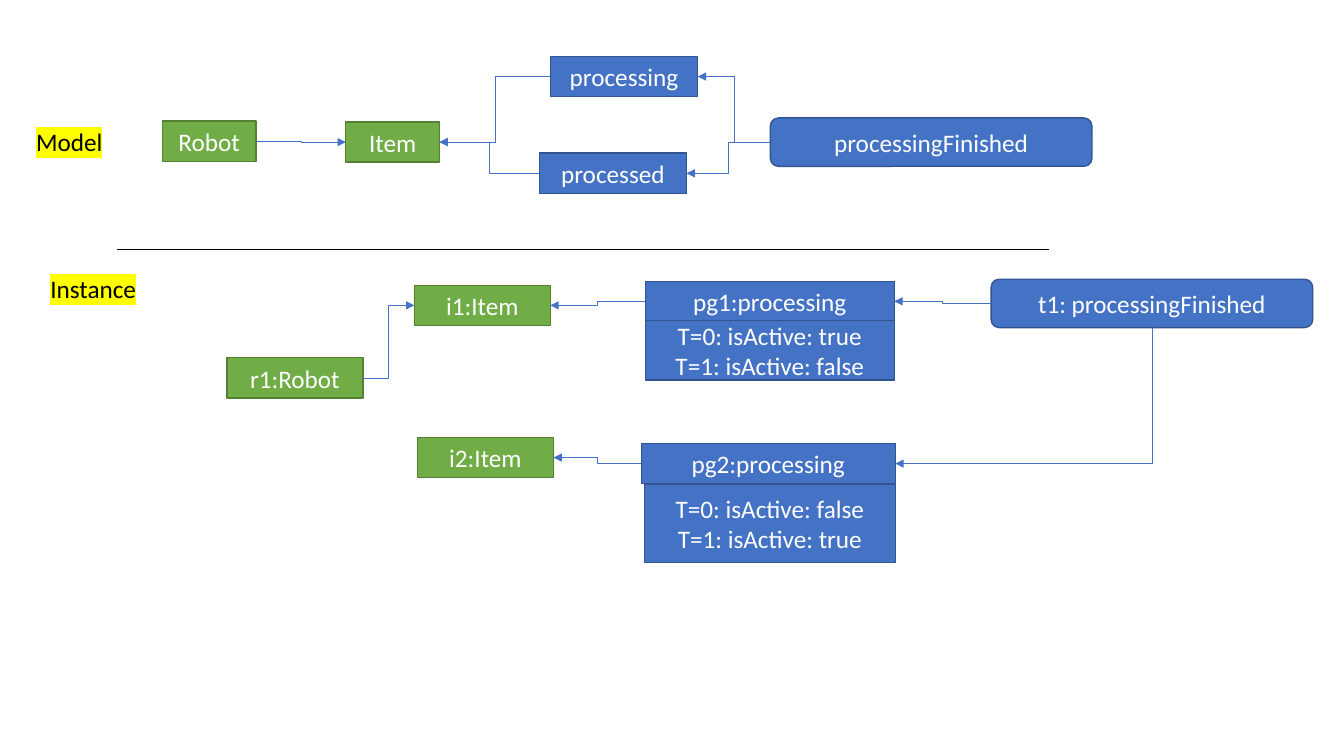
from pptx import Presentation
from pptx.dml.color import RGBColor
from pptx.enum.shapes import MSO_CONNECTOR as MC, MSO_SHAPE as MS
from pptx.enum.text import MSO_ANCHOR, MSO_AUTO_SIZE, PP_ALIGN
from pptx.oxml.ns import qn
from pptx.util import Inches, Pt
from lxml.etree import SubElement

BLUE = RGBColor(0x44, 0x72, 0xC4)
BLUE_EDGE = RGBColor(0x32, 0x54, 0x91)
GREEN = RGBColor(0x70, 0xAD, 0x47)
GREEN_EDGE = RGBColor(0x53, 0x80, 0x35)
WHITE = RGBColor(0xFF, 0xFF, 0xFF)
BLACK = RGBColor(0, 0, 0)
YELLOW = RGBColor(0xFF, 0xFF, 0x00)

TOP, LEFT, BOTTOM, RIGHT = range(4)
ROW_H = 0.4


def format_runs(tf, color):
    for p in tf.paragraphs:
        for r in p.runs:
            r.font.size = Pt(18)
            r.font.name = "Calibri"
            r.font.color.rgb = color


def add_box(s, text, x, y, w, h=ROW_H, fill=BLUE, edge=BLUE_EDGE, kind=MS.RECTANGLE):
    sp = s.shapes.add_shape(kind, Inches(x), Inches(y), Inches(w), Inches(h))
    sp.shadow.inherit = False
    sp.fill.solid()
    sp.fill.fore_color.rgb = fill
    sp.line.color.rgb = edge
    sp.line.width = Pt(1)
    tf = sp.text_frame
    tf.text = text
    tf.word_wrap = True
    tf.vertical_anchor = MSO_ANCHOR.MIDDLE
    for p in tf.paragraphs:
        p.alignment = PP_ALIGN.CENTER
    format_runs(tf, WHITE)
    return sp


def add_entity(s, text, x, y, w):
    return add_box(s, text, x, y, w, fill=GREEN, edge=GREEN_EDGE)


def add_transition(s, text, x, y):
    return add_box(s, text, x, y, 3.19, 0.48, kind=MS.ROUNDED_RECTANGLE)


def add_label(s, text, x, y):
    sp = s.shapes.add_textbox(Inches(x), Inches(y), Inches(1.49), Inches(ROW_H))
    tf = sp.text_frame
    tf.word_wrap = True
    tf.auto_size = MSO_AUTO_SIZE.SHAPE_TO_FIT_TEXT
    tf.text = text
    format_runs(tf, BLACK)
    fill = tf.paragraphs[0].runs[0].font._element.find(qn("a:solidFill"))
    highlight = fill.makeelement(qn("a:highlight"))
    SubElement(highlight, qn("a:srgbClr"), val=str(YELLOW))
    fill.addnext(highlight)


def style_line(c, color):
    c.line.color.rgb = color
    c.line.width = Pt(0.5)
    SubElement(c._element.spPr, qn("a:effectLst"))


def add_arrow(s, start, end, start_side=LEFT, end_side=RIGHT):
    c = s.shapes.add_connector(MC.ELBOW, 0, 0, 0, 0)
    c.begin_connect(start, start_side)
    c.end_connect(end, end_side)
    style_line(c, BLUE)
    SubElement(c._element.spPr.find(qn("a:ln")), qn("a:tailEnd"), type="triangle")
    return c


def turn_down_then_left(c):
    x, y, w, h = c.left, c.top, c.width, c.height
    spPr = c._element.spPr
    spPr.find(qn("a:prstGeom")).set("prst", "bentConnector2")
    xfrm = spPr.find(qn("a:xfrm"))
    xfrm.attrib.pop("flipH", None)
    xfrm.attrib.pop("flipV", None)
    xfrm.set("rot", "5400000")
    c.left, c.top = x + (w - h) // 2, y + (h - w) // 2
    c.width, c.height = h, w


def add_model(s, x, y):
    add_label(s, "Model", x, y + 0.64)
    robot = add_entity(s, "Robot", x + 1.35, y + 0.64, 0.93)
    item = add_entity(s, "Item", x + 3.17, y + 0.65, 0.93)
    finished = add_transition(s, "processingFinished", x + 7.38, y + 0.61)
    add_arrow(s, robot, item, RIGHT, LEFT)
    for text, dx, dy in (("processing", 5.2, 0), ("processed", 5.09, 0.96)):
        state = add_box(s, text, x + dx, y + dy, 1.46)
        add_arrow(s, state, item)
        add_arrow(s, finished, state)


def add_divider(s, x, y, w):
    c = s.shapes.add_connector(MC.STRAIGHT, Inches(x), Inches(y), Inches(x + w), Inches(y))
    style_line(c, BLACK)


def add_instance(s, x, y):
    add_label(s, "Instance", x, y)
    robot = add_entity(s, "r1:Robot", x + 1.85, y + 0.89, 1.35)
    item1 = add_entity(s, "i1:Item", x + 3.71, y + 0.17, 1.35)
    item2 = add_entity(s, "i2:Item", x + 3.74, y + 1.68, 1.35)
    state1 = add_box(s, "pg1:processing", x + 6, y + 0.13, 2.47)
    state2 = add_box(s, "pg2:processing", x + 5.96, y + 1.74, 2.52)
    add_box(s, "T=0: isActive: true\nT=1: isActive: false", x + 6, y + 0.52, 2.47, 0.59)
    add_box(s, "T=0: isActive: false\nT=1: isActive: true", x + 5.99, y + 2.15, 2.49, 0.77)
    finished = add_transition(s, "t1: processingFinished", x + 9.43, y + 0.11)
    add_arrow(s, robot, item1, RIGHT, LEFT)
    add_arrow(s, state1, item1)
    add_arrow(s, state2, item2)
    add_arrow(s, finished, state1)
    turn_down_then_left(add_arrow(s, finished, state2, BOTTOM, RIGHT))


def main():
    prs = Presentation()
    prs.slide_width, prs.slide_height = Inches(13.33), Inches(7.5)
    s = prs.slides.add_slide(prs.slide_layouts[6])
    add_model(s, 0.26, 0.56)
    add_divider(s, 1.16, 2.47, 9.24)
    add_instance(s, 0.4, 2.66)
    prs.save("out.pptx")


if __name__ == "__main__":
    main()
